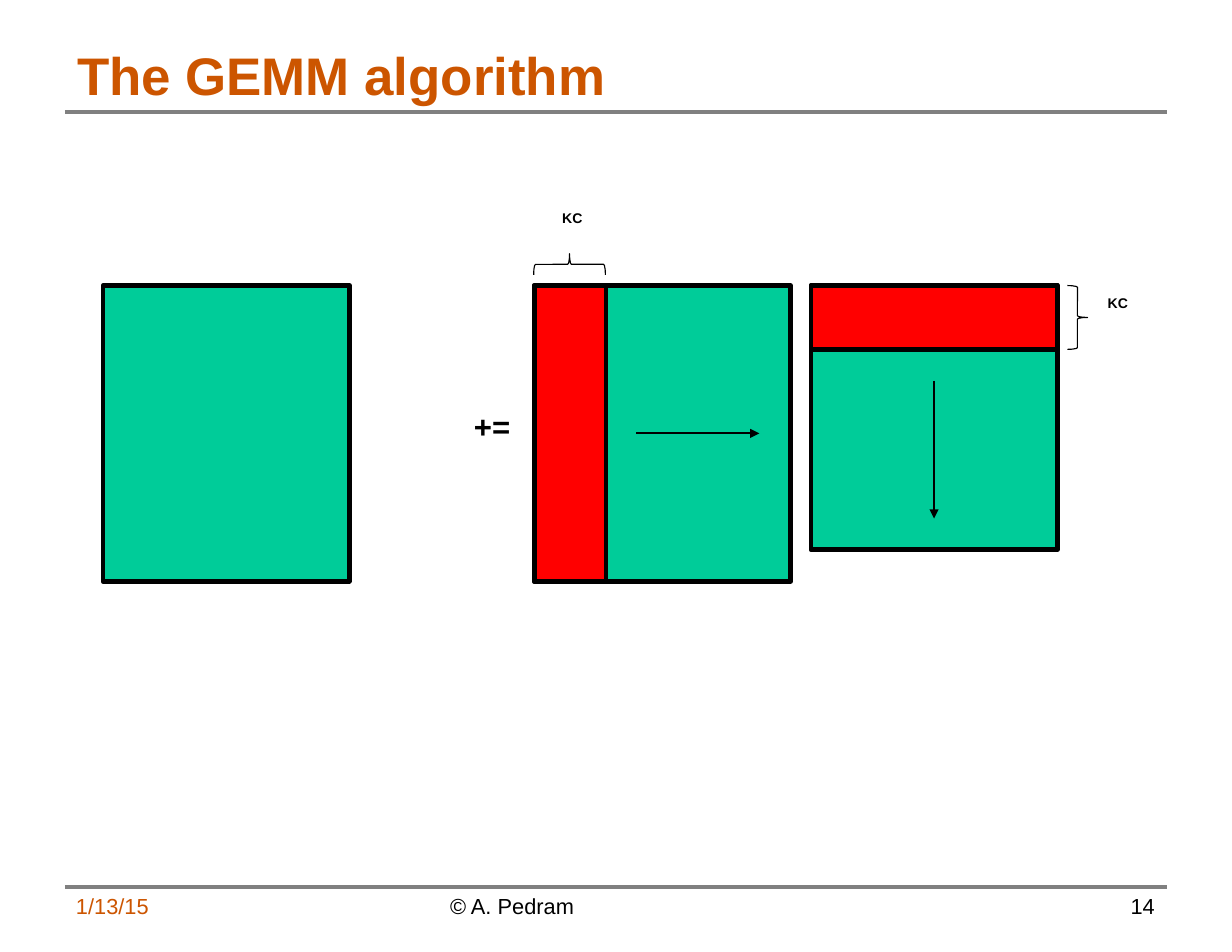
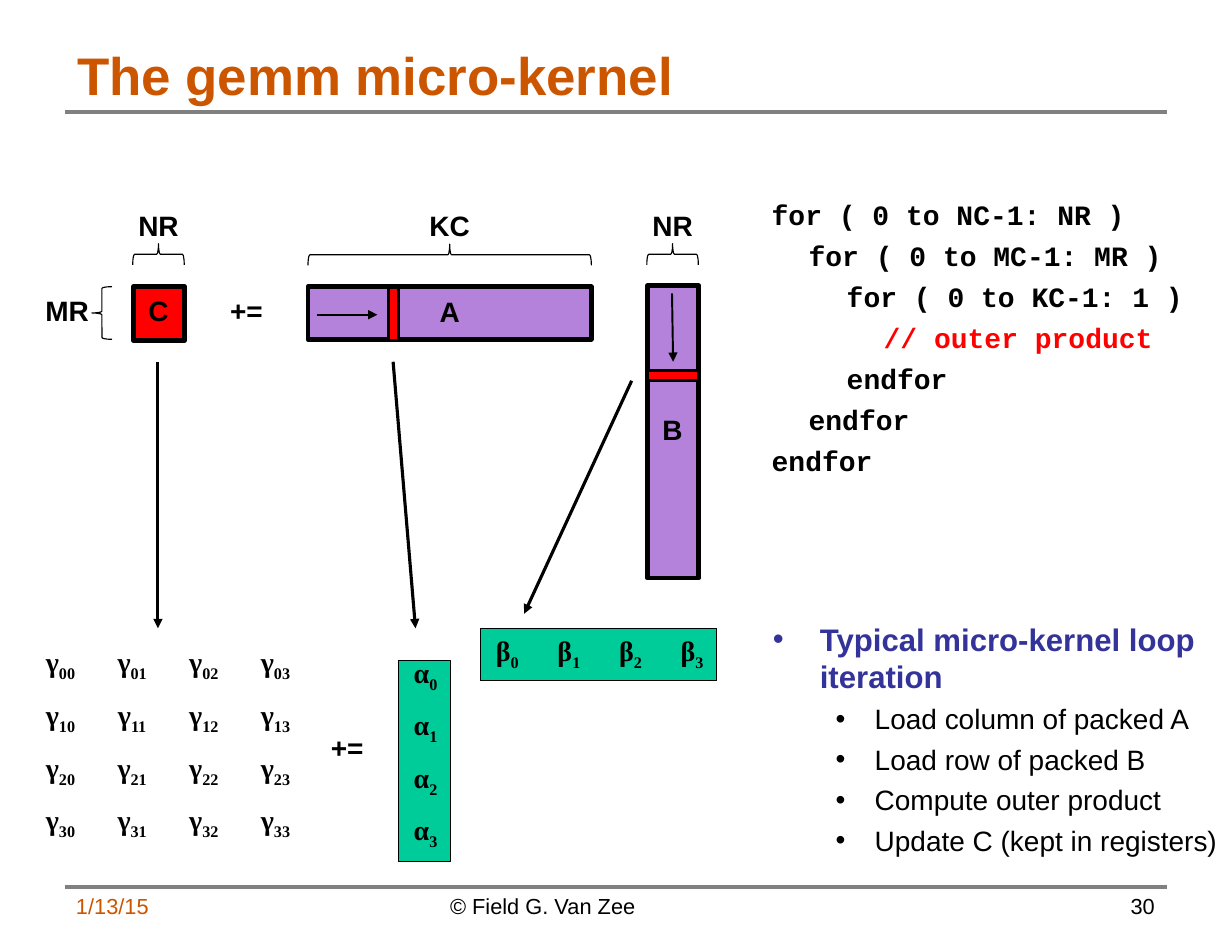
from dataclasses import dataclass
from typing import NamedTuple, Optional

from lxml.etree import SubElement
from pptx import Presentation
from pptx.dml.color import RGBColor
from pptx.enum.shapes import MSO_CONNECTOR, MSO_SHAPE
from pptx.enum.text import MSO_ANCHOR, PP_ALIGN
from pptx.oxml.ns import qn
from pptx.slide import Slide
from pptx.util import Emu, Pt

PX = 9144  # EMU per px, 100 px to the inch

BLACK = RGBColor(0x00, 0x00, 0x00)
GRAY = RGBColor(0x80, 0x80, 0x80)
ORANGE = RGBColor(0xCC, 0x55, 0x00)
GREEN = RGBColor(0x00, 0xCC, 0x99)
RED = RGBColor(0xFF, 0x00, 0x00)
PURPLE = RGBColor(0xB4, 0x82, 0xDA)
NAVY = RGBColor(0x33, 0x33, 0x99)


class Box(NamedTuple):
    x: int
    y: int
    w: int
    h: int


class Inset(NamedTuple):
    x: int
    y: int


NARROW = Inset(10, 5)
WIDE = Inset(11, 6)


@dataclass(frozen=True)
class Style:
    size: int
    color: RGBColor = BLACK
    bold: bool = True
    font: str = "Arial"


TITLE = Style(34, ORANGE)
DATE = Style(14, ORANGE, False)
FOOTER = Style(14, BLACK, False)
LABEL = Style(18)
MATH = Style(18, font="Times New Roman")
CODE = Style(18, font="Courier New")
COMMENT = Style(18, RED, font="Courier New")
HEADING = Style(20, NAVY)
ITEM = Style(18, bold=False)


@dataclass(frozen=True)
class Para:
    text: str
    style: Style
    indent: int = 0
    hanging: int = 0
    before: float = 0
    sub: str = ""
    align: PP_ALIGN = PP_ALIGN.LEFT


@dataclass(frozen=True)
class Label:
    text: str
    box: Box
    style: Style = LABEL
    inset: Inset = WIDE
    sub: str = ""


@dataclass(frozen=True)
class Block:
    box: Box
    fill: Optional[RGBColor]
    line: float = 3
    kind: MSO_SHAPE = MSO_SHAPE.RECTANGLE
    rotation: int = 0


@dataclass(frozen=True)
class Line:
    x1: int
    y1: int
    x2: int
    y2: int
    width: float
    color: RGBColor = BLACK
    arrow: bool = True


def brace_left(*box: int) -> Block:
    return Block(Box(*box), None, 0.75, MSO_SHAPE.LEFT_BRACE)


def brace_right(*box: int) -> Block:
    return Block(Box(*box), None, 0.75, MSO_SHAPE.RIGHT_BRACE)


def brace_top(x: int, y: int, span: int) -> Block:
    """Brace pointing up over a span that starts at x, with its top at y."""
    depth = 19
    box = Box(x + (span - depth) // 2, y + (depth - span) // 2, depth, span)
    return Block(box, None, 0.75, MSO_SHAPE.LEFT_BRACE, 90)


def emu(box: Box) -> list[Emu]:
    return [Emu(v * PX) for v in box]


def add_run(p, text: str, style: Style, subscript: bool = False) -> None:
    r = p.add_run()
    r.text = text
    r.font.name = style.font
    r.font.size = Pt(style.size)
    r.font.bold = style.bold
    r.font.color.rgb = style.color
    if subscript:
        r._r.get_or_add_rPr().set("baseline", "-25000")


def add_text(s: Slide, box: Box, paras: list[Para], inset: Inset = NARROW,
             wrap: bool = True, anchor: MSO_ANCHOR = MSO_ANCHOR.TOP) -> None:
    tf = s.shapes.add_textbox(*emu(box)).text_frame
    tf.word_wrap = wrap
    tf.vertical_anchor = anchor
    tf.margin_left = tf.margin_right = Emu(inset.x * PX)
    tf.margin_top = tf.margin_bottom = Emu(inset.y * PX)
    for i, para in enumerate(paras):
        p = tf.add_paragraph() if i else tf.paragraphs[0]
        p.alignment = para.align
        p.space_before = Pt(para.before)
        pPr = p._p.get_or_add_pPr()
        pPr.set("marL", str(para.indent * PX))
        pPr.set("indent", str(-para.hanging * PX))
        if para.hanging:
            SubElement(pPr, qn("a:buFont")).set("typeface", "Arial")
            SubElement(pPr, qn("a:buChar")).set("char", "•")
        add_run(p, para.text, para.style)
        if para.sub:
            add_run(p, para.sub, para.style, subscript=True)


def add_label(s: Slide, label: Label) -> None:
    para = Para(label.text, label.style, sub=label.sub, align=PP_ALIGN.CENTER)
    add_text(s, label.box, [para], label.inset, wrap=False)


def add_block(s: Slide, block: Block) -> None:
    sp = s.shapes.add_shape(block.kind, *emu(block.box))
    sp.shadow.inherit = False
    sp.rotation = block.rotation
    if block.fill is None:
        sp.fill.background()
    else:
        sp.fill.solid()
        sp.fill.fore_color.rgb = block.fill
    sp.line.color.rgb = BLACK
    sp.line.width = Pt(block.line)


def add_line(s: Slide, line: Line) -> None:
    ends = (Emu(v * PX) for v in (line.x1, line.y1, line.x2, line.y2))
    cxn = s.shapes.add_connector(MSO_CONNECTOR.STRAIGHT, *ends)
    cxn.line.color.rgb = line.color
    cxn.line.width = Pt(line.width)
    if line.arrow:
        SubElement(cxn.line._get_or_add_ln(), qn("a:tailEnd")).set("type", "triangle")
    SubElement(cxn._element.spPr, qn("a:effectLst"))


def add_base(prs: Presentation, title: str, credit: str, number: int) -> Slide:
    """Add a slide with the shared rules, title and footer."""
    s = prs.slides.add_slide(prs.slide_layouts[6])
    for y in (100, 792):
        add_line(s, Line(58, y, 1042, y, 2.25, GRAY, arrow=False))
    add_text(s, Box(58, 33, 983, 67), [Para(title, TITLE)], WIDE, anchor=MSO_ANCHOR.MIDDLE)
    add_text(s, Box(58, 792, 258, 52), [Para("1/13/15", DATE)])
    add_text(s, Box(392, 792, 317, 52), [Para(credit, FOOTER)])
    add_text(s, Box(783, 792, 258, 52), [Para(str(number), FOOTER, align=PP_ALIGN.RIGHT)])
    return s


def draw(s: Slide, blocks: list[Block], labels: list[Label], lines: list[Line]) -> None:
    for block in blocks:
        add_block(s, block)
    for label in labels:
        add_label(s, label)
    for line in lines:
        add_line(s, line)


def build_algorithm(prs: Presentation) -> None:
    s = add_base(prs, "The GEMM algorithm", "© A. Pedram", 14)
    small = Style(9)
    blocks = [
        Block(Box(724, 255, 220, 236), GREEN),
        Block(Box(477, 255, 229, 264), GREEN),
        Block(Box(92, 255, 220, 264), GREEN),
        Block(Box(477, 255, 64, 264), RED),
        Block(Box(724, 255, 220, 57), RED),
        brace_top(477, 227, 64),
        brace_right(953, 255, 18, 57),
    ]
    labels = [
        Label("+=", Box(413, 359, 53, 44), Style(20), NARROW),
        Label("KC", Box(492, 182, 38, 25), small, NARROW),
        Label("KC", Box(979, 258, 38, 25), small, NARROW),
    ]
    lines = [Line(568, 387, 678, 387, 1.25), Line(834, 340, 834, 463, 1.25)]
    draw(s, blocks, labels, lines)


def vector_labels() -> list[Label]:
    """Subscripted entries of the γ matrix, α column and β row."""
    gamma = [Label("γ", Box(28 + 64 * col, 571 + 47 * row, 52, 40), MATH, NARROW, f"{row}{col}")
             for row in range(4) for col in range(4)]
    alpha = [Label("α", Box(358, 580 + 47 * i, 44, 40), MATH, NARROW, str(i)) for i in range(4)]
    beta = [Label("β", Box(431 + 55 * i, 561, 44, 40), MATH, NARROW, str(i)) for i in range(4)]
    return gamma + alpha + beta


def build_micro_kernel(prs: Presentation) -> None:
    s = add_base(prs, "The gemm micro-kernel", "© Field G. Van Zee", 30)
    blocks = [
        Block(Box(119, 256, 46, 48), RED),
        Block(Box(578, 255, 46, 261), PURPLE),
        Block(Box(275, 256, 253, 47), PURPLE),
        Block(Box(347, 257, 9, 47), RED, 2),
        Block(Box(578, 331, 46, 9), RED, 2),
        Block(Box(356, 590, 46, 179), GREEN, 0.75),
        Block(Box(429, 561, 211, 47), GREEN, 0.75),
        brace_left(82, 256, 18, 47),
        brace_top(119, 218, 46),
        brace_top(275, 218, 253),
        brace_top(578, 218, 46),
    ]
    labels = [
        Label("NR", Box(112, 180, 59, 42)),
        Label("KC", Box(372, 180, 59, 42)),
        Label("NR", Box(571, 180, 59, 42)),
        Label("MR", Box(29, 256, 62, 42)),
        Label("C", Box(121, 256, 41, 42)),
        Label("A", Box(381, 257, 41, 42)),
        Label("B", Box(580, 362, 41, 42)),
        Label("+=", Box(194, 256, 52, 42)),
        Label("+=", Box(284, 646, 52, 42)),
    ]
    lines = [
        Line(283, 281, 337, 281, 1.25),
        Line(600, 262, 601, 323, 1.25),
        Line(141, 323, 141, 561, 2),
        Line(351, 323, 371, 561, 2),
        Line(564, 340, 468, 548, 2),
    ]
    draw(s, blocks, labels + vector_labels(), lines)

    code = [
        (0, "for ( 0 to NC-1: NR )"),
        (1, "for ( 0 to MC-1: MR )"),
        (2, "for ( 0 to KC-1: 1 )"),
        (3, "// outer product"),
        (2, "endfor"),
        (1, "endfor"),
        (0, "endfor"),
    ]
    add_text(s, Box(678, 170, 422, 264),
             [Para(text, COMMENT if text.startswith("//") else CODE, round(depth * 100 / 3),
                   before=4.8 if i else 2)
              for i, (depth, text) in enumerate(code)], WIDE)

    steps = ["Load column of packed A", "Load row of packed B",
             "Compute outer product", "Update C (kept in registers)"]
    add_text(s, Box(679, 548, 458, 189),
             [Para("Typical micro-kernel loop iteration", HEADING, 42, 42)]
             + [Para(step, ITEM, 91, 35, 4.4) for step in steps], WIDE)


def main() -> None:
    prs = Presentation()
    prs.slide_width = Emu(1100 * PX)
    prs.slide_height = Emu(850 * PX)
    build_algorithm(prs)
    build_micro_kernel(prs)
    prs.save("out.pptx")


if __name__ == "__main__":
    main()
